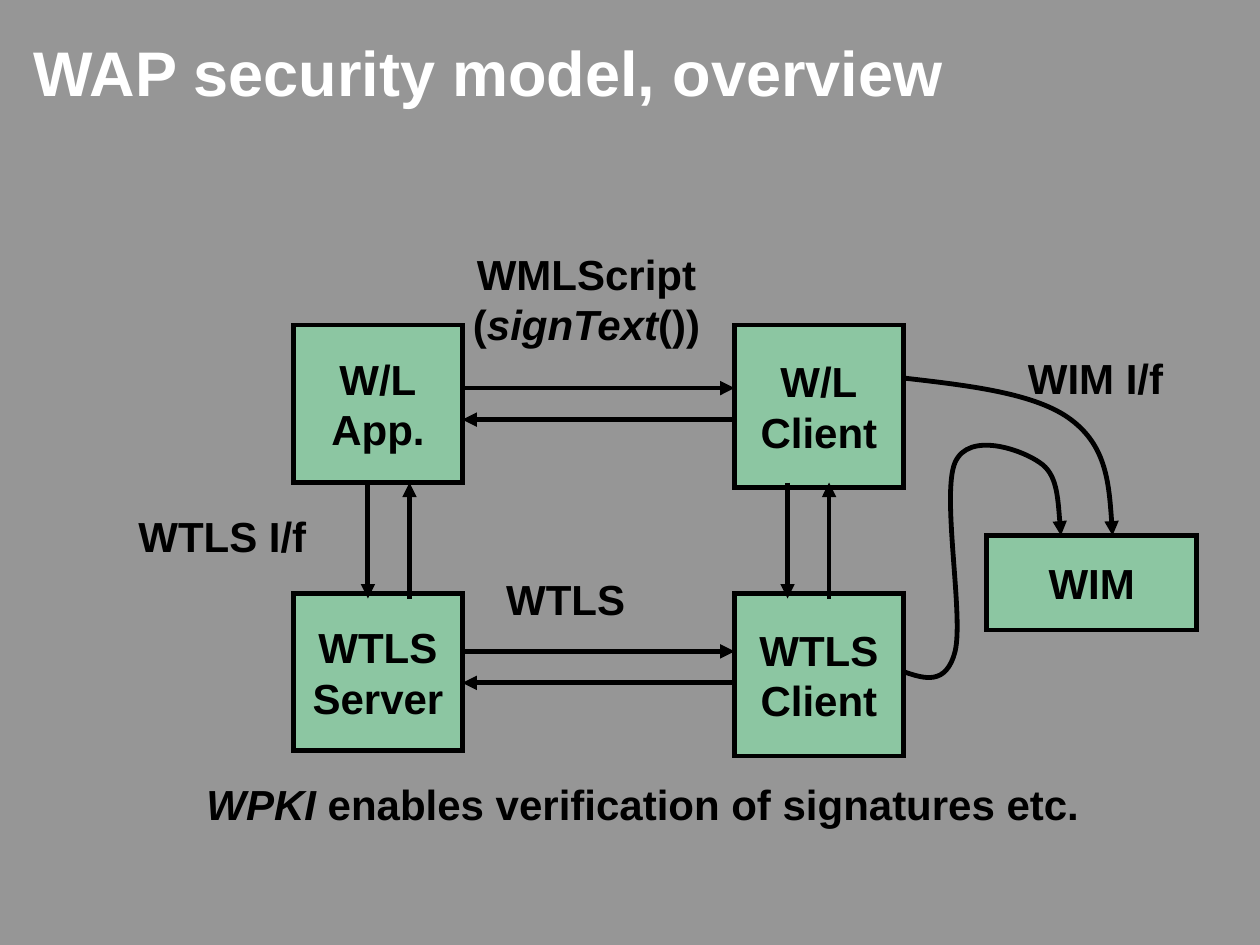
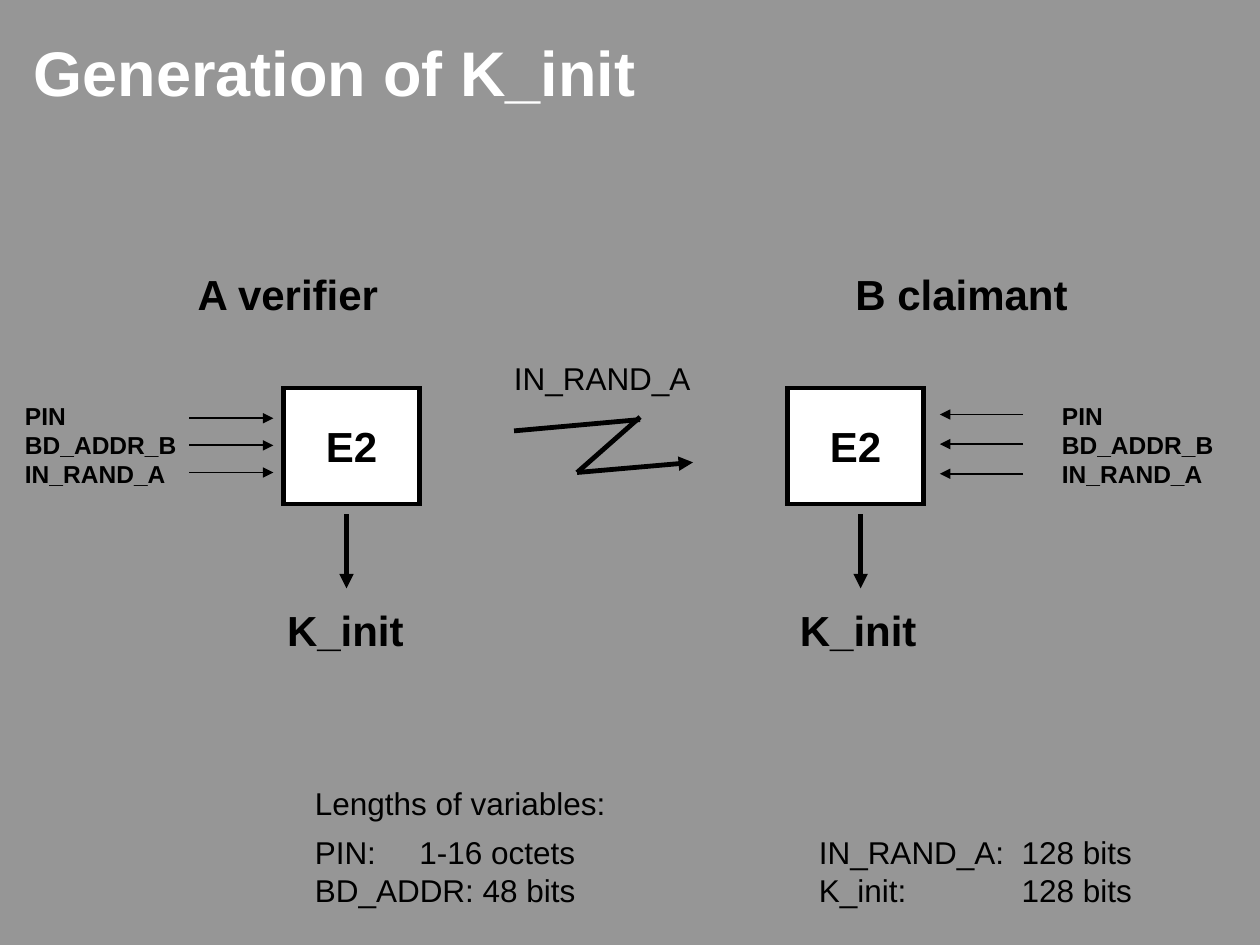
"""Build two wireless security slides: the WAP model and K_init generation."""
import dataclasses

import lxml.etree
import pptx
import pptx.dml.color
import pptx.enum.shapes
import pptx.enum.text
import pptx.oxml.ns
import pptx.util

Inches = pptx.util.Inches
qn = pptx.oxml.ns.qn
ALIGN = pptx.enum.text.PP_ALIGN


@dataclasses.dataclass(frozen=True)
class Theme:
    """Colours, font, type sizes and line widths shared by the slides."""
    font: str = "Arial"
    background: str = "969696"
    title: str = "FFFFFF"
    ink: str = "000000"
    green: str = "8CC6A2"
    white: str = "FFFFFF"
    title_size: int = 36
    label_size: int = 24
    note_size: int = 18
    input_size: int = 14
    heavy: float = 2.75
    thin: float = 1


THEME = Theme()


def rgb(value):
    """Turn a hex string into a colour."""
    return pptx.dml.color.RGBColor.from_string(value)


def write_text(tf, text, *, size=THEME.label_size, color=THEME.ink, bold=True,
               align=ALIGN.LEFT, spacing=None, tabs=()):
    """Fill a text frame, one paragraph per line, with *italic* marked by stars."""
    tf.word_wrap = True
    tf.vertical_anchor = pptx.enum.text.MSO_ANCHOR.MIDDLE
    for i, line in enumerate(text.split("\n")):
        p = tf.add_paragraph() if i else tf.paragraphs[0]
        p.alignment = align
        if spacing and i in spacing:
            p.line_spacing = spacing[i]
        if tabs:
            stops = lxml.etree.SubElement(p._p.get_or_add_pPr(), qn("a:tabLst"))
            for stop in tabs:
                lxml.etree.SubElement(stops, qn("a:tab"), pos=str(Inches(stop)), algn="l")
        for j, part in enumerate(line.split("*")):
            if part:
                r = p.add_run()
                r.text = part
                r.font.name = THEME.font
                r.font.size = pptx.util.Pt(size)
                r.font.bold = bold
                r.font.italic = j % 2 == 1
                r.font.color.rgb = rgb(color)


def add_label(s, text, left, top, width, height, **fmt):
    """Add a text box."""
    tb = s.shapes.add_textbox(*map(Inches, (left, top, width, height)))
    write_text(tb.text_frame, text, **fmt)


def add_box(s, text, left, top, width, height, fill):
    """Add an outlined rectangle with a centred label."""
    kind = pptx.enum.shapes.MSO_SHAPE.RECTANGLE
    sp = s.shapes.add_shape(kind, *map(Inches, (left, top, width, height)))
    sp.shadow.inherit = False
    sp.fill.solid()
    sp.fill.fore_color.rgb = rgb(fill)
    style_line(sp, arrow=False)
    write_text(sp.text_frame, text, align=ALIGN.CENTER)


def style_line(sp, weight=THEME.heavy, arrow=True):
    """Set the stroke of a shape and, if wanted, an arrowhead at its end."""
    sp.line.color.rgb = rgb(THEME.ink)
    sp.line.width = pptx.util.Pt(weight)
    ln = sp.line._get_or_add_ln()
    lxml.etree.SubElement(ln, qn("a:miter"), lim="800000")
    if arrow:
        lxml.etree.SubElement(ln, qn("a:tailEnd"), type="triangle")


def add_line(s, start, end, **stroke):
    """Add a straight connector, with an arrowhead at its end by default."""
    kind = pptx.enum.shapes.MSO_CONNECTOR.STRAIGHT
    cxn = s.shapes.add_connector(kind, *map(Inches, (*start, *end)))
    style_line(cxn, **stroke)
    lxml.etree.SubElement(cxn._element.spPr, qn("a:effectLst"))


def add_curve(s, start, *controls):
    """Add an arrow along Bezier curves, three control points to each curve."""
    builder = s.shapes.build_freeform(*map(Inches, start), scale=1.0)
    builder.add_line_segments([tuple(map(Inches, pt)) for pt in controls], close=False)
    sp = builder.convert_to_shape()
    sp.shadow.inherit = False
    sp.fill.background()
    style_line(sp)
    steps = list(sp._element.iter(qn("a:lnTo")))
    for i in range(0, len(steps), 3):
        curve = lxml.etree.SubElement(steps[i].getparent(), qn("a:cubicBezTo"))
        for step in steps[i:i + 3]:
            curve.append(step[0])
            step.getparent().remove(step)


def add_exchange_across(s, left, right, top):
    """Add a request arrow to the right and a reply arrow below it."""
    add_line(s, (left, top), (right, top))
    add_line(s, (right, top + 0.25), (left, top + 0.25))


def add_exchange_down(s, left, top, bottom):
    """Add a downward arrow and an upward arrow beside it."""
    add_line(s, (left, top), (left, bottom))
    add_line(s, (left + 0.33, bottom), (left + 0.33, top))


def add_slide(prs, title):
    """Add a blank slide with the shared background and title."""
    s = prs.slides.add_slide(prs.slide_layouts[6])
    s.background.fill.solid()
    s.background.fill.fore_color.rgb = rgb(THEME.background)
    add_label(s, title, 0.17, 0.17, 8.25, 0.74, size=THEME.title_size,
              color=THEME.title, spacing={0: 1.1})
    return s


def add_wap_model(prs):
    """Draw the WAP security model."""
    s = add_slide(prs, "WAP security model, overview")
    server_x, client_x, width = 2.33, 5.83, 1.34
    rows = ((2.58, "W/L\nApp.", "W/L\nClient", 3.08),
            (4.71, "WTLS\nServer", "WTLS\nClient", 5.17))
    for top, server, client, arrow_y in rows:
        add_box(s, server, server_x, top, width, 1.25, THEME.green)
        add_box(s, client, client_x, top, width, 1.29, THEME.green)
        add_exchange_across(s, server_x + width, client_x, arrow_y)
    for x in (2.92, 6.25):
        add_exchange_down(s, x, 3.83, 4.75)

    add_curve(s, (7.17, 3), (7.69, 3.06), (8.22, 3.12), (8.5, 3.33),
              (8.78, 3.54), (8.81, 3.9), (8.83, 4.25))
    add_box(s, "WIM", 7.83, 4.25, 1.67, 0.75, THEME.green)
    add_curve(s, (7.17, 5.33), (7.34, 5.39), (7.51, 5.44), (7.58, 5.17),
              (7.65, 4.89), (7.47, 3.92), (7.58, 3.67),
              (7.69, 3.42), (8.11, 3.57), (8.25, 3.67),
              (8.39, 3.76), (8.4, 4.01), (8.42, 4.25))

    add_label(s, "WMLScript\n(*signText*())", 3.55, 1.92, 2.21, 0.9, align=ALIGN.CENTER)
    add_label(s, "WTLS", 3.79, 4.5, 1.4, 0.5, align=ALIGN.CENTER)
    add_label(s, "WTLS I/f", 1, 4, 1.75, 0.5)
    add_label(s, "WIM I/f", 8.06, 2.75, 1.5, 0.5)
    add_label(s, "*WPKI* enables verification of signatures etc.", 1.54, 6.13, 7.4, 0.5)


def add_key_generation(prs):
    """Draw how both parties derive K_init."""
    s = add_slide(prs, "Generation of K_init")
    add_label(s, "A verifier", 1.47, 2.08, 1.9, 0.5)
    add_label(s, "B claimant", 6.69, 2.08, 2.1, 0.5)

    parties = ((2.25, 2.75, 2.18, 0.1, 1.5, 2.17, 3.32, 0.215),
               (6.25, 6.83, 6.25, 8.33, 8.12, 7.46, 3.29, 0.235))
    for box_x, out_x, key_x, inputs_x, start_x, end_x, first_y, step in parties:
        add_box(s, "E2", box_x, 3.08, 1.08, 0.92, THEME.white)
        add_label(s, "PIN\nBD_ADDR_B\nIN_RAND_A", inputs_x, 3.13, 1.6, 0.8,
                  size=THEME.input_size)
        for i in range(3):
            y = first_y + i * step
            add_line(s, (start_x, y), (end_x, y), weight=THEME.thin)
        add_line(s, (out_x, 4.08), (out_x, 4.67))
        add_label(s, "K_init", key_x, 4.75, 1.4, 0.5)

    add_line(s, (4.08, 3.42), (5.08, 3.33), arrow=False)
    add_line(s, (4.58, 3.75), (5.08, 3.31), arrow=False)
    add_line(s, (4.58, 3.75), (5.5, 3.67))
    add_label(s, "IN_RAND_A", 3.98, 2.8, 1.8, 0.4, size=THEME.note_size, bold=False)
    add_label(s, "Lengths of variables:\n"
                 "PIN:\t1-16 octets\tIN_RAND_A:\t128 bits\n"
                 "BD_ADDR: 48 bits\tK_init:\t128 bits",
              2.4, 6.17, 6.69, 1.09, size=THEME.note_size, bold=False,
              spacing={1: 1.3}, tabs=(0.83, 4, 5.61))


def main():
    """Build and save the deck."""
    prs = pptx.Presentation()
    prs.slide_width, prs.slide_height = Inches(10), Inches(7.5)
    add_wap_model(prs)
    add_key_generation(prs)
    prs.save("out.pptx")


if __name__ == "__main__":
    main()
